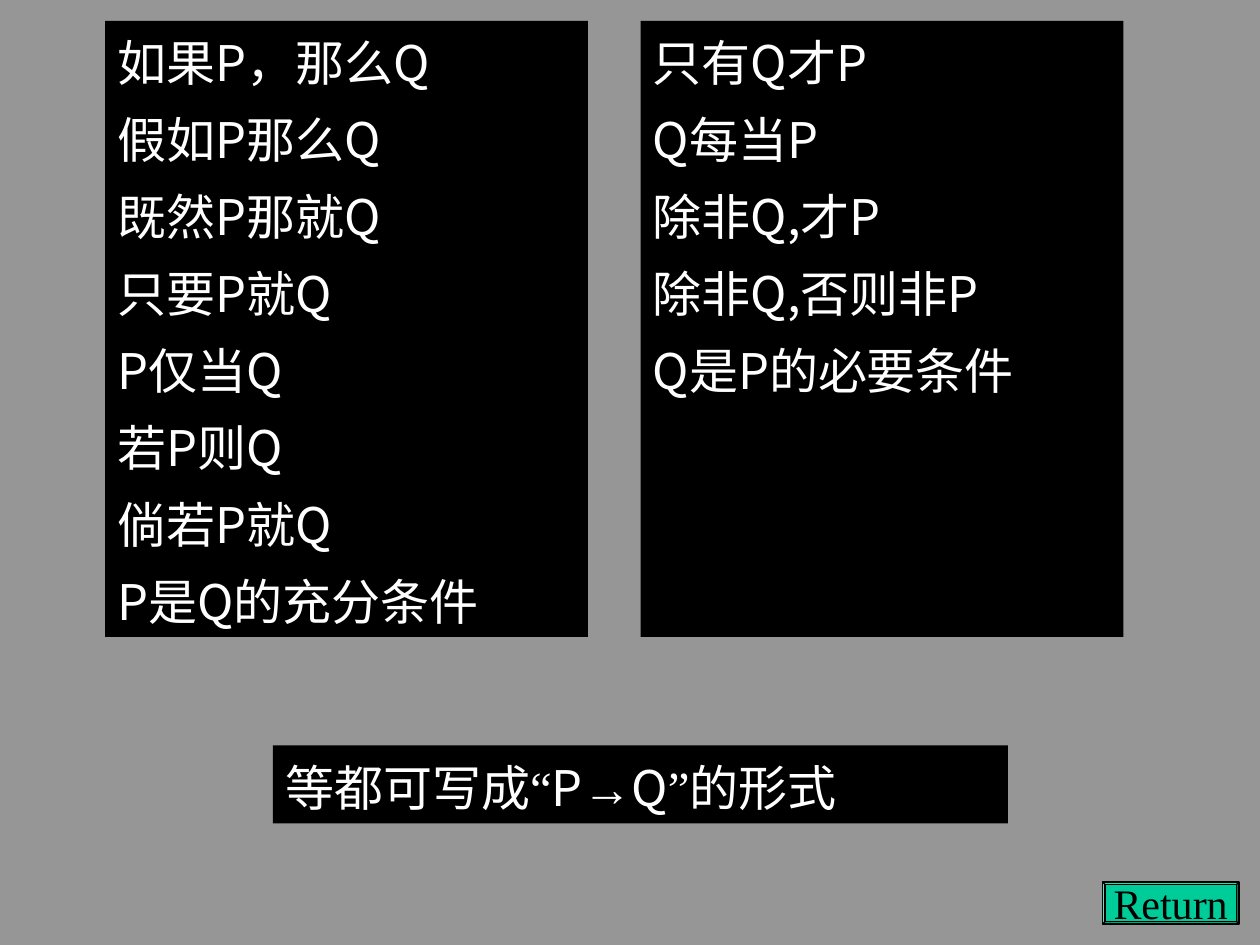
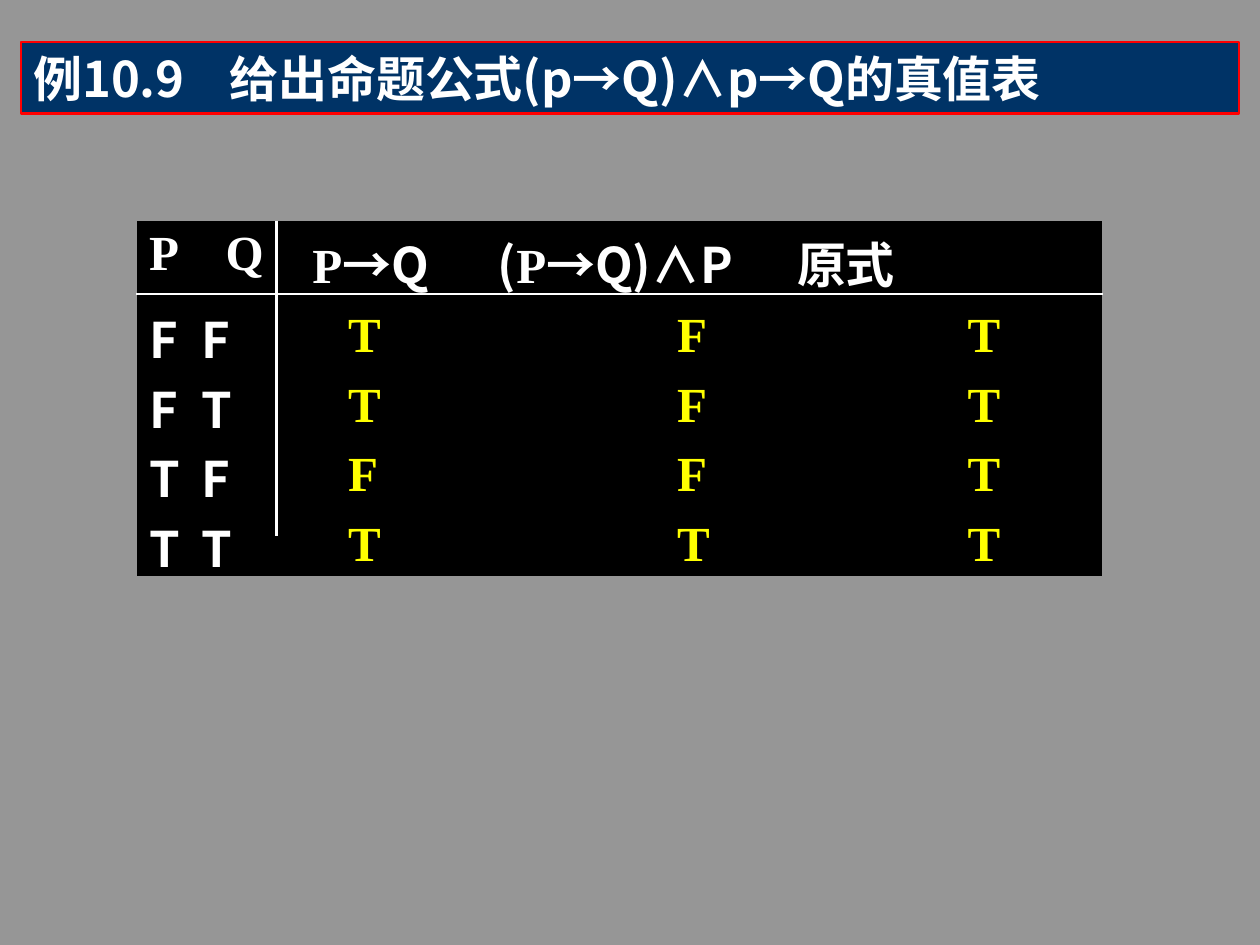
"""Build two slides on logical implication: its wordings and a truth table."""
from pptx import Presentation
from pptx.dml.color import RGBColor
from pptx.enum.shapes import MSO_CONNECTOR as LINE, MSO_SHAPE as SHAPE
from pptx.enum.text import MSO_ANCHOR as ANCHOR, PP_ALIGN as ALIGN
from pptx.oxml.ns import qn
from pptx.util import Pt

SANS, SERIF, ARROW = "Noto Sans CJK SC", "Times New Roman", "Arial"
BLACK, WHITE, GREY, YELLOW = "000000", "FFFFFF", "969696", "FFFF00"
NAVY, RED, GREEN = "003366", "FF0000", "00CC99"


def rgb(color):
    """Turn a hex string into a colour."""
    return RGBColor.from_string(color)


def write(p, runs, color=WHITE, size=28, bold=False, **layout):
    """Write (text, font) runs into a paragraph with its layout values."""
    for name, value in layout.items():
        setattr(p, name, value)
    for text, font in runs:
        r = p.add_run()
        r.text = text
        for name, value in {"name": font, "size": Pt(size), "bold": bold}.items():
            setattr(r.font, name, value)
        r.font.color.rgb = rgb(color)
        r.font._element.get_or_add_latin().addnext(
            r.font._element.makeelement(qn("a:ea"), {"typeface": font}))


prs = Presentation()
prs.slide_width, prs.slide_height = Pt(720), Pt(540)
slides = [prs.slides.add_slide(prs.slide_layouts[6]) for _ in range(2)]
for s in slides:
    s.background.fill.solid()
    s.background.fill.fore_color.rgb = rgb(GREY)
forms, table_slide = slides

sufficient = ["如果P，那么Q", "假如P那么Q", "既然P那就Q", "只要P就Q",
              "P仅当Q", "若P则Q", "倘若P就Q", "P是Q的充分条件"]
necessary = ["只有Q才P", "Q每当P", "除非Q,才P", "除非Q,否则非P", "Q是P的必要条件"]
summary = [("等都可写成", SANS), ("“", SERIF), ("P", SANS), ("→", ARROW),
           ("Q", SANS), ("”", SERIF), ("的形式", SANS)]
title = [("例10.9\t给出命题公式(p→Q)∧p→Q的真值表", SANS)]

listing = {"line_spacing": 1.1, "space_before": Pt(7)}
heading = {"bold": True}
button = {"color": BLACK, "size": 24, "alignment": ALIGN.CENTER}
boxes = [
    (forms, SHAPE.RECTANGLE, (60, 12, 276, 352), BLACK, None,
     [[(t, SANS)] for t in sufficient], listing),
    (forms, SHAPE.RECTANGLE, (366, 12, 276, 352), BLACK, None,
     [[(t, SANS)] for t in necessary], listing),
    (forms, SHAPE.RECTANGLE, (156, 426, 420, 44.5), BLACK, None, [summary], listing),
    (forms, SHAPE.BEVEL, (630, 504, 78, 24), GREEN, (BLACK, 0.75),
     [[("Return", SERIF)]], button),
    (table_slide, SHAPE.RECTANGLE, (12, 24, 696, 41), NAVY, (RED, 1.5), [title], heading),
]
for s, kind, place, fill, line, paragraphs, style in boxes:
    sp = s.shapes.add_shape(kind, *map(Pt, place))
    sp.shadow.inherit = False
    sp.fill.solid()
    sp.fill.fore_color.rgb = rgb(fill)
    if line:
        sp.line.color.rgb = rgb(line[0])
        sp.line.width = Pt(line[1])
    else:
        sp.line.fill.background()
    tf = sp.text_frame
    is_button = kind == SHAPE.BEVEL
    tf.word_wrap = not is_button
    tf.vertical_anchor = ANCHOR.MIDDLE if is_button else ANCHOR.TOP
    if is_button:
        sp.adjustments[0] = 0.06
    for i, runs in enumerate(paragraphs):
        p = tf.add_paragraph() if i else tf.paragraphs[0]
        write(p, runs, **{"alignment": ALIGN.LEFT, **style})
        if runs is title:
            tabs = p._p.get_or_add_pPr().makeelement(qn("a:tabLst"), {})
            tabs.append(tabs.makeelement(qn("a:tab"), {"pos": str(Pt(112)), "algn": "l"}))
            p._p.get_or_add_pPr().append(tabs)

header = [[("P", SERIF)], [("Q", SERIF)], [("P", SERIF), ("→Q", SANS)],
          [("(", SANS), ("P", SERIF), ("→Q)∧P", SANS)], [("原式", SANS)]]
values = ["FFTFT", "FTTFT", "TFFFT", "TTTTT"]
edges = [78, 112, 158, 280, 450, 630]
header_indents = [7.2, 17, 20.5, 4.5, 5.5]
value_indents = [7.2, 3, 41, 107, 103]
top, header_height, row_height = 126, 41.5, 37.5

table = table_slide.shapes.add_table(
    5, 5, Pt(edges[0]), Pt(top), Pt(edges[-1] - edges[0]),
    Pt(header_height + 4 * row_height)).table
table._tbl.tblPr.find(qn("a:tableStyleId")).text = "{2D5ABB26-0587-4C30-8999-92F81FD0307C}"
table.first_row = table.horz_banding = False
for j in range(5):
    table.columns[j].width = Pt(edges[j + 1] - edges[j])
for i in range(5):
    table.rows[i].height = Pt(row_height if i else header_height)
    for j in range(5):
        cell = table.cell(i, j)
        cell.fill.solid()
        cell.fill.fore_color.rgb = rgb(BLACK)
        indent = value_indents[j] if i else header_indents[j]
        above = 3.6 if i == 0 else 15.5 if j < 2 else 16.5
        for side, gap in {"left": indent, "top": above, "right": 0, "bottom": 0}.items():
            setattr(cell, f"margin_{side}", Pt(gap))
        p = cell.text_frame.paragraphs[0]
        if i == 0:
            write(p, header[j], bold=True)
        else:
            font, color = (SANS, WHITE) if j < 2 else (SERIF, YELLOW)
            write(p, [(values[i - 1][j], font)], color, bold=True, line_spacing=0.6)

for ends in [(78, 168, 630, 168), (158, 126, 158, 306)]:
    c = table_slide.shapes.add_connector(LINE.STRAIGHT, *map(Pt, ends))
    c.line.color.rgb = rgb(WHITE)
    c.line.width = Pt(1.5)
    spPr = c._element.spPr
    spPr.append(spPr.makeelement(qn("a:effectLst"), {}))

prs.save("out.pptx")
